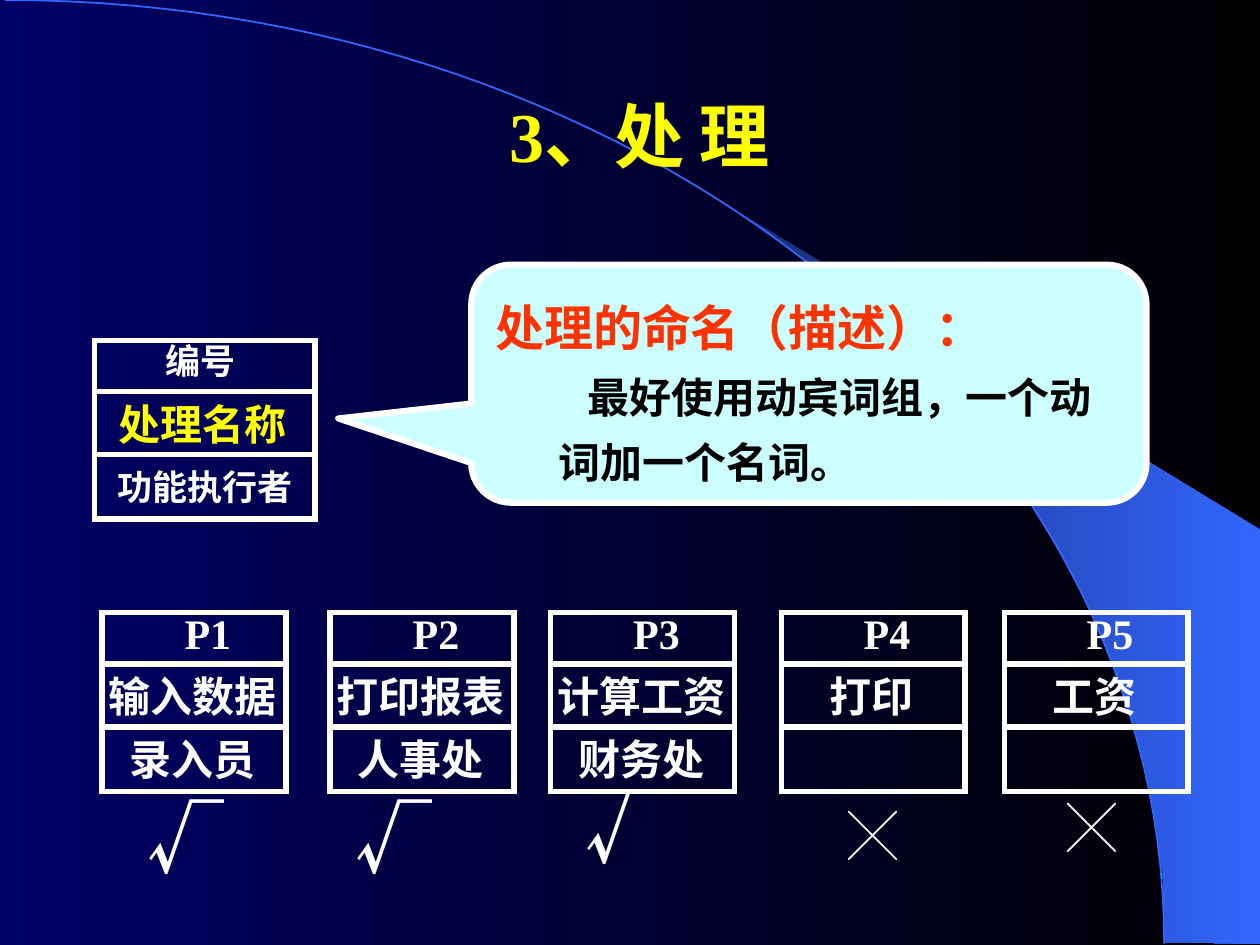
from dataclasses import dataclass

from lxml import etree
from pptx import Presentation
from pptx.dml.color import RGBColor
from pptx.enum.shapes import MSO_CONNECTOR, MSO_SHAPE
from pptx.enum.text import MSO_ANCHOR, MSO_AUTO_SIZE, PP_ALIGN
from pptx.oxml.ns import qn
from pptx.util import Inches, Pt

RECTANGLE = MSO_SHAPE.RECTANGLE
CALLOUT = MSO_SHAPE.ROUNDED_RECTANGULAR_CALLOUT
STRAIGHT = MSO_CONNECTOR.STRAIGHT
MIDDLE = MSO_ANCHOR.MIDDLE
CENTER, LEFT = PP_ALIGN.CENTER, PP_ALIGN.LEFT
NO_AUTOFIT = MSO_AUTO_SIZE.NONE

NAVY = RGBColor(0x00, 0x00, 0x66)
BLACK = RGBColor(0x00, 0x00, 0x00)
DARK_BLUE = RGBColor(0x18, 0x2F, 0x76)
BLUE = RGBColor(0x33, 0x66, 0xFF)
WHITE = RGBColor(0xFF, 0xFF, 0xFF)
YELLOW = RGBColor(0xFF, 0xFF, 0x00)
PALE_CYAN = RGBColor(0xCC, 0xFF, 0xFF)
ORANGE_RED = RGBColor(0xFF, 0x33, 0x00)

SERIF = "Times New Roman"
SANS = "Noto Sans CJK SC"

CARD_HEIGHT = 1.42
DIVIDERS = (0.41, 0.91)
ROW_CENTRES = (0.16, 0.66, 1.16)


@dataclass
class Row:
    text: str
    centre: float  # from the left edge of the card
    width: float
    size: int = 24
    color: RGBColor = WHITE


@dataclass
class Card:
    left: float
    top: float
    width: float
    rows: list[Row]


@dataclass
class Mark:
    symbol: str
    left: float
    top: float
    width: float
    height: float
    size: int


def process_card(left: float, code: str, name: str, executor: str) -> Card:
    rows = [Row(code, 0.84, 0.58), Row(name, 0.72, 0.2 + 0.34 * len(name))]
    if executor:
        rows.append(Row(executor, 0.72, 1.22))
    return Card(left, 4.86, 1.46, rows)


CARDS = [
    process_card(0.81, "P1", "输入数据", "录入员"),
    process_card(2.62, "P2", "打印报表", "人事处"),
    process_card(4.37, "P3", "计算工资", "财务处"),
    process_card(6.2, "P4", "打印", ""),
    process_card(7.97, "P5", "工资", ""),
    Card(0.75, 2.7, 1.75, [
        Row("编号", 0.84, 0.8, 20),
        Row("处理名称", 0.86, 1.56, 24, YELLOW),
        Row("功能执行者", 0.88, 1.62, 20),
    ]),
]

MARKS = [
    Mark("╳", 6.01, 6.34, 1.83, 0.57, 28),
    Mark("╳", 7.75, 6.28, 1.83, 0.57, 28),
    Mark("√", 0.5, 6.22, 1.96, 0.84, 44),
    Mark("√", 2, 6.22, 2.25, 0.84, 44),
    Mark("√", 3.83, 6.14, 2.25, 0.84, 44),
]

BAND = [
    (9.25, 7.48), (10.04, 7.49), (10.04, 4.23), (5.94, 1.73), (6.29, 1.99),
    (6.58, 2.22), (6.9, 2.5), (7.22, 2.8), (7.67, 3.3), (8.08, 3.84),
    (8.37, 4.31), (8.63, 4.79), (8.83, 5.28), (8.98, 5.72), (9.08, 6.09),
    (9.18, 6.56), (9.23, 6.96),
]
ARC_CONTROLS = ((0.04, 0), (5.12, 0), (9.24, 3.35), (9.24, 7.49))
ARC_STEPS = 60


def set_gradient(fill, start: RGBColor, end: RGBColor) -> None:
    fill.gradient()
    fill.gradient_angle = 0
    for stop, color in zip(fill.gradient_stops, (start, end)):
        stop.color.rgb = color


def set_line(shape, color: RGBColor, width: float) -> None:
    shape.line.color.rgb = color
    shape.line.width = Pt(width)


def format_runs(paragraph, size: int, color: RGBColor, font: str) -> None:
    for run in paragraph.runs:
        run.font.size = Pt(size)
        run.font.bold = True
        run.font.color.rgb = color
        run.font.name = font
        east_asian = etree.SubElement(run._r.get_or_add_rPr(), qn("a:ea"))
        east_asian.set("typeface", SANS)


def set_text(frame, text: str, size: int, color: RGBColor, font: str,
             wrap: bool = True) -> None:
    frame.text = text
    frame.word_wrap = wrap
    frame.auto_size = NO_AUTOFIT
    frame.vertical_anchor = MIDDLE
    frame.paragraphs[0].alignment = CENTER
    format_runs(frame.paragraphs[0], size, color, font)


def draw_outline(shapes, points: list[tuple[float, float]], closed: bool):
    # Freeform units are whole numbers, so points are passed in EMU
    start, *rest = [(Inches(x), Inches(y)) for x, y in points]
    builder = shapes.build_freeform(*start, scale=1.0)
    builder.add_line_segments(rest, close=closed)
    outline = builder.convert_to_shape()
    outline.shadow.inherit = False
    return outline


def arc_point(t: float) -> tuple[float, float]:
    weights = ((1 - t) ** 3, 3 * t * (1 - t) ** 2, 3 * t * t * (1 - t), t ** 3)
    return tuple(sum(w * point[axis] for w, point in zip(weights, ARC_CONTROLS))
                 for axis in (0, 1))


def draw_card(shapes, card: Card) -> None:
    parts = shapes.add_group_shape().shapes
    frame = parts.add_shape(RECTANGLE, Inches(card.left), Inches(card.top),
                            Inches(card.width), Inches(CARD_HEIGHT))
    frame.shadow.inherit = False
    frame.fill.background()
    set_line(frame, WHITE, 3)
    etree.SubElement(frame._element.spPr.find(qn("a:ln")), qn("a:miter"))
    for offset in DIVIDERS:
        y = Inches(card.top + offset)
        divider = parts.add_connector(STRAIGHT, Inches(card.left), y,
                                      Inches(card.left + card.width), y)
        set_line(divider, WHITE, 3)
        etree.SubElement(divider._element.spPr, qn("a:effectLst"))
    for row, centre in zip(card.rows, ROW_CENTRES):
        height = 0.5 if row.size == 24 else 0.44
        label = parts.add_textbox(
            Inches(card.left + row.centre - row.width / 2),
            Inches(card.top + centre - height / 2),
            Inches(row.width), Inches(height))
        set_text(label.text_frame, row.text, row.size, row.color, SERIF, wrap=False)


def draw_mark(shapes, mark: Mark) -> None:
    verdict = shapes.add_textbox(Inches(mark.left), Inches(mark.top),
                                 Inches(mark.width), Inches(mark.height))
    set_text(verdict.text_frame, mark.symbol, mark.size, WHITE, SANS)


def draw_naming_callout(shapes) -> None:
    callout = shapes.add_shape(CALLOUT, Inches(3.74), Inches(2.1),
                               Inches(5.36), Inches(1.89))
    callout.shadow.inherit = False
    for index, value in enumerate((-0.697, 0.146, 0.167)):
        callout.adjustments[index] = value
    callout.fill.solid()
    callout.fill.fore_color.rgb = PALE_CYAN
    set_line(callout, WHITE, 3.5)
    frame = callout.text_frame
    frame.text = "处理的命名（描述）：\n最好使用动宾词组，一个动词加一个名词。"
    frame.word_wrap = True
    frame.vertical_anchor = MIDDLE
    heading, advice = frame.paragraphs
    for paragraph in (heading, advice):
        paragraph.alignment = LEFT
        paragraph.line_spacing = 1.3
    advice.level = 1
    properties = advice._p.get_or_add_pPr()
    properties.set("marL", str(Inches(0.5)))
    properties.set("indent", str(Inches(0.23)))
    format_runs(heading, 28, ORANGE_RED, SANS)
    format_runs(advice, 24, BLACK, SANS)


def main() -> None:
    deck = Presentation()
    deck.slide_width, deck.slide_height = Inches(10), Inches(7.5)
    slide = deck.slides.add_slide(deck.slide_layouts[5])
    shapes = slide.shapes

    # Backdrop
    set_gradient(slide.background.fill, NAVY, BLACK)
    band = draw_outline(shapes, BAND, closed=True)
    set_gradient(band.fill, DARK_BLUE, BLUE)
    band.line.fill.background()
    arc_points = [arc_point(i / ARC_STEPS) for i in range(ARC_STEPS + 1)]
    arc = draw_outline(shapes, arc_points, closed=False)
    arc.fill.background()
    set_line(arc, BLUE, 1)

    # Title, brought in front of the backdrop
    title = shapes.title
    title.left, title.top = Inches(0.35), Inches(0.68)
    title.width, title.height = Inches(9.45), Inches(0.77)
    set_text(title.text_frame, "3、处 理", 40, YELLOW, SERIF)
    arc._element.addnext(title._element)

    # Process boxes, verdicts and naming rule
    for card in CARDS:
        draw_card(shapes, card)
    for mark in MARKS:
        draw_mark(shapes, mark)
    draw_naming_callout(shapes)

    deck.save("out.pptx")


if __name__ == "__main__":
    main()
